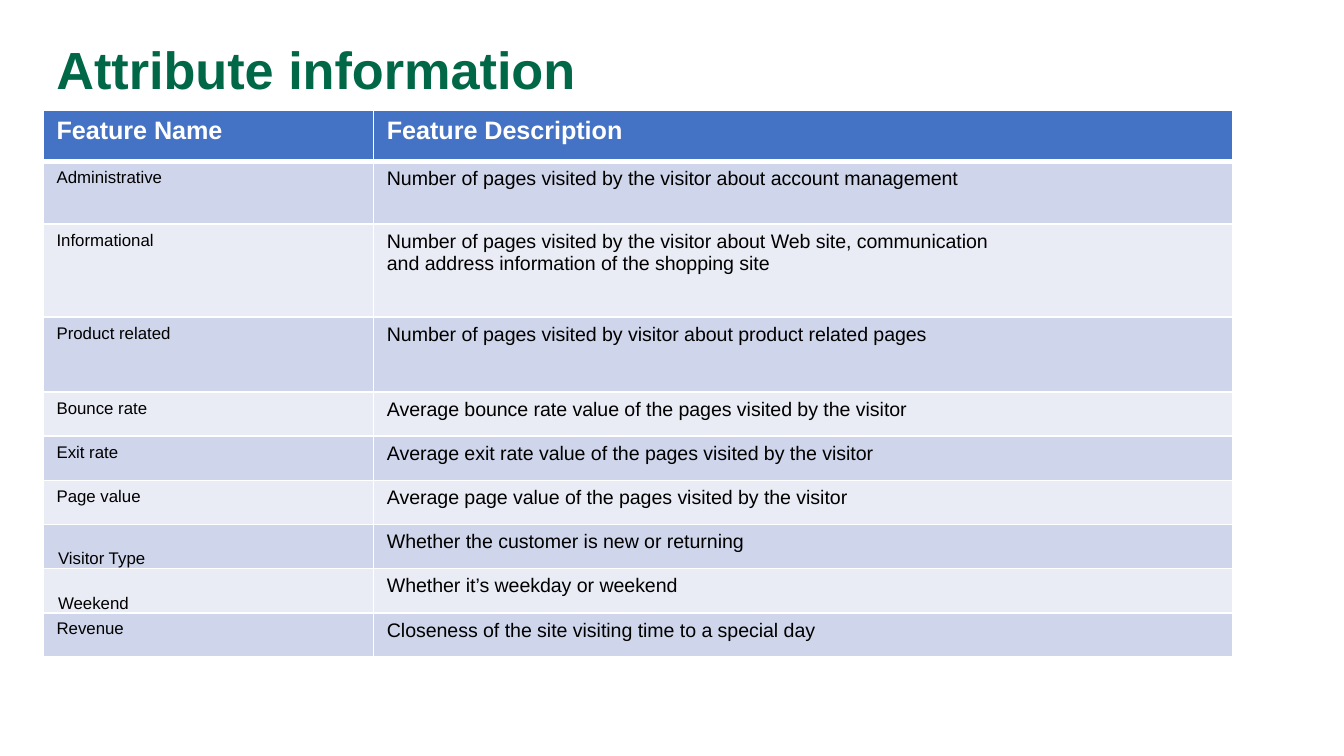
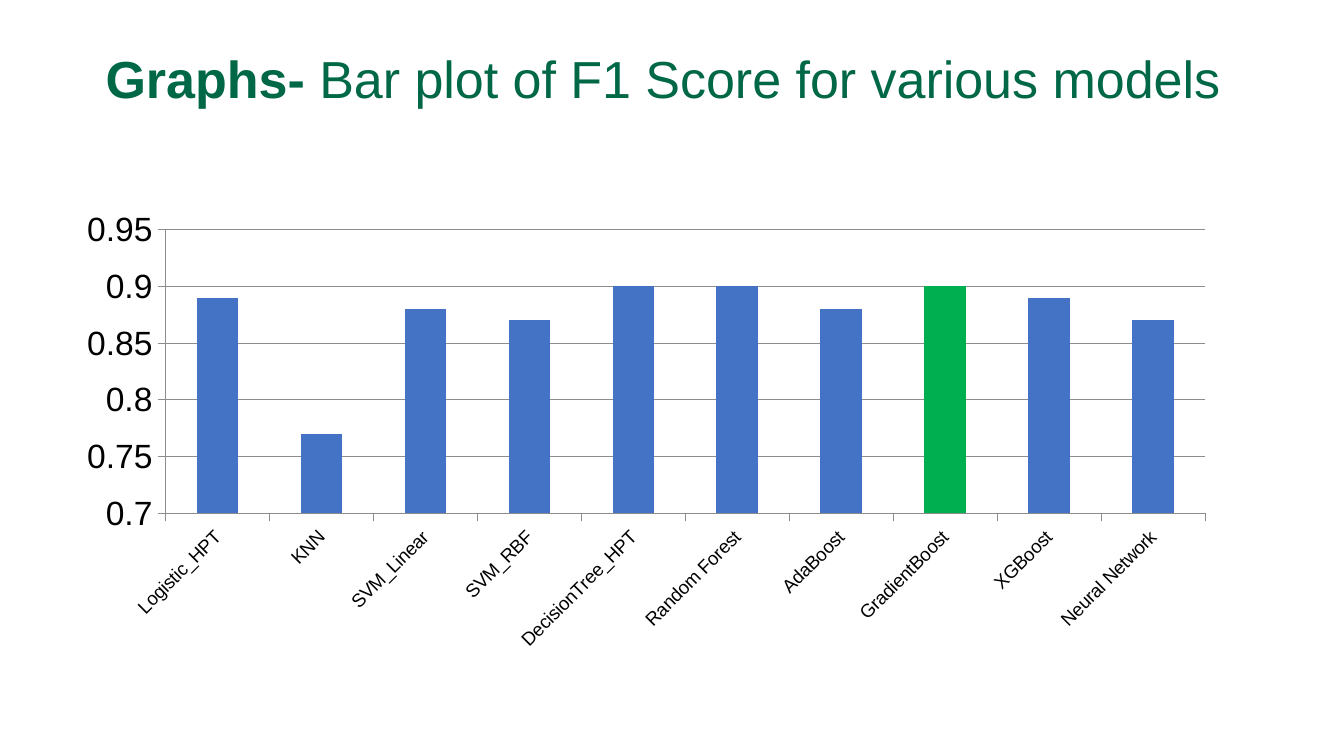
from dataclasses import dataclass
from typing import NamedTuple

from lxml.etree import SubElement
from pptx import Presentation
from pptx.chart.data import CategoryChartData
from pptx.dml.color import RGBColor
from pptx.enum.chart import XL_CHART_TYPE as ChartType, XL_TICK_MARK as TickMark
from pptx.enum.text import MSO_ANCHOR as Anchor
from pptx.oxml.ns import qn
from pptx.util import Pt


# Theme
@dataclass(frozen=True)
class Theme:
    font: str = "Arial"
    title: str = "006747"
    text: str = "000000"
    white: str = "FFFFFF"
    blue: str = "4472C4"
    green: str = "00B050"
    bands: tuple = ("CFD5EA", "E9EBF5")
    grid: str = "8C8C8C"
    title_size: float = 28
    long_title_size: float = 27.9
    header_size: float = 13.5
    name_size: float = 9
    body_size: float = 10.5
    value_size: float = 18
    category_size: float = 10


THEME = Theme()


class Box(NamedTuple):
    left: float
    top: float
    width: float
    height: float

    def points(self) -> list:
        return [Pt(v) for v in self]


class Run(NamedTuple):
    text: str
    size: float
    color: str = THEME.text
    bold: bool = False


class Feature(NamedTuple):
    name: str
    description: tuple
    height: float = 23.65
    name_at_bottom: bool = False


class Score(NamedTuple):
    model: str
    f1: float


# Content
FEATURES = [
    Feature("Administrative",
            ("Number of pages visited by the visitor about account management",), 33.8),
    Feature("Informational",
            ("Number of pages visited by the visitor about Web site, communication",
             "and address information of the shopping site"), 49.7),
    Feature("Product related",
            ("Number of pages visited by visitor about product related pages",), 40.2),
    Feature("Bounce rate", ("Average bounce rate value of the pages visited by the visitor",)),
    Feature("Exit rate", ("Average exit rate value of the pages visited by the visitor",)),
    Feature("Page value", ("Average page value of the pages visited by the visitor",)),
    Feature("Visitor Type", ("Whether the customer is new or returning",), name_at_bottom=True),
    Feature("Weekend", ("Whether it’s weekday or weekend",), name_at_bottom=True),
    Feature("Revenue", ("Closeness of the site visiting time to a special day",)),
]
HEADER_HEIGHT = 27.4
COLUMN_WIDTHS = (177, 460.6)

SCORES = [
    Score("Logistic_HPT", 0.89), Score("KNN", 0.77), Score("SVM_Linear", 0.88),
    Score("SVM_RBF", 0.87), Score("DecisionTree_HPT", 0.9), Score("Random Forest", 0.9),
    Score("AdaBoost", 0.88), Score("GradientBoost", 0.9), Score("XGBoost", 0.89),
    Score("Neural Network", 0.87),
]
HIGHLIGHT = "GradientBoost"
PLOT_AREA = {"x": 0.086, "y": 0.118, "w": 0.897, "h": 0.592}


# Text helpers
def style_font(font, size: float, color: str = THEME.text, bold: bool = False) -> None:
    font.name, font.size, font.bold = THEME.font, Pt(size), bold
    font.color.rgb = RGBColor.from_string(color)


def add_run(p, run: Run) -> None:
    r = p.add_run()
    r.text = run.text
    style_font(r.font, run.size, run.color, run.bold)


def add_title(s, box: Box, runs: list[Run], bottom_inset: float = 3.6) -> None:
    tf = s.shapes.add_textbox(*box.points()).text_frame
    tf.word_wrap = True
    tf.vertical_anchor = Anchor.MIDDLE
    tf.margin_bottom = Pt(bottom_inset)
    p = tf.paragraphs[0]
    p.line_spacing = 0.9
    for run in runs:
        add_run(p, run)


# Table helpers
def set_borders(cell, top: float = 1, bottom: float = 1) -> None:
    tc_pr = cell._tc.get_or_add_tcPr()
    for i, (side, width) in enumerate(zip("LRTB", (1, 1, top, bottom))):
        ln = SubElement(tc_pr, qn(f"a:ln{side}"), w=str(Pt(width)))
        fill = SubElement(ln, qn("a:solidFill"))
        SubElement(fill, qn("a:srgbClr"), val=THEME.white)
        tc_pr.insert(i, ln)


def fill_cell(cell, runs: list[Run], color: str, top: float = 1, bottom: float = 1) -> None:
    cell.fill.solid()
    cell.fill.fore_color.rgb = RGBColor.from_string(color)
    set_borders(cell, top, bottom)
    tf = cell.text_frame
    for i, run in enumerate(runs):
        add_run(tf.add_paragraph() if i else tf.paragraphs[0], run)


def add_feature_table(s, left: float, top: float) -> None:
    heights = [HEADER_HEIGHT] + [f.height for f in FEATURES]
    box = Box(left, top, sum(COLUMN_WIDTHS), sum(heights))
    table = s.shapes.add_table(len(heights), len(COLUMN_WIDTHS), *box.points()).table
    for column, width in zip(table.columns, COLUMN_WIDTHS):
        column.width = Pt(width)
    for row, height in zip(table.rows, heights):
        row.height = Pt(height)

    for i, heading in enumerate(("Feature Name", "Feature Description")):
        run = Run(heading, THEME.header_size, THEME.white, True)
        fill_cell(table.cell(0, i), [run], THEME.blue, bottom=3)

    for i, feature in enumerate(FEATURES):
        name, description = table.cell(i + 1, 0), table.cell(i + 1, 1)
        band, rule = THEME.bands[i % 2], 1 if i else 3
        fill_cell(name, [Run(feature.name, THEME.name_size)], band, rule)
        fill_cell(description, [Run(t, THEME.body_size) for t in feature.description],
                  band, rule)
        if feature.name_at_bottom:
            name.vertical_anchor = Anchor.BOTTOM
            name.margin_left, name.margin_top, name.margin_bottom = Pt(8), Pt(0.7), Pt(0)


# Chart helpers
def style_line(line) -> None:
    line.width = Pt(0.5)
    line.color.rgb = RGBColor.from_string(THEME.grid)


def style_axis(axis, size: float) -> None:
    axis.major_tick_mark, axis.minor_tick_mark = TickMark.OUTSIDE, TickMark.NONE
    style_line(axis.format.line)
    style_font(axis.tick_labels.font, size)


def set_plot_layout(chart) -> None:
    plot_area = chart._chartSpace.chart.plotArea
    for old in plot_area.findall(qn("c:layout")):
        plot_area.remove(old)
    layout = SubElement(plot_area, qn("c:layout"))
    plot_area.insert(0, layout)
    manual = SubElement(layout, qn("c:manualLayout"))
    settings = {"layoutTarget": "inner", "xMode": "edge", "yMode": "edge", **PLOT_AREA}
    for tag, value in settings.items():
        SubElement(manual, qn(f"c:{tag}"), val=str(value))


def add_score_chart(s, box: Box) -> None:
    data = CategoryChartData()
    data.categories = [score.model for score in SCORES]
    data.add_series("Series 1", [score.f1 for score in SCORES])
    chart = s.shapes.add_chart(ChartType.COLUMN_CLUSTERED, *box.points(), data).chart
    chart.has_legend = chart.has_title = False
    style_font(chart.font, THEME.value_size)
    set_plot_layout(chart)

    style_axis(chart.category_axis, THEME.category_size)
    chart.category_axis._element.txPr.bodyPr.set("rot", str(-45 * 60000))

    values = chart.value_axis
    style_axis(values, THEME.value_size)
    values.minimum_scale, values.maximum_scale, values.major_unit = 0.7, 0.95, 0.05
    values.tick_labels.number_format = "General"
    values.tick_labels.number_format_is_linked = False
    values.has_major_gridlines = True
    style_line(values.major_gridlines.format.line)

    plot = chart.plots[0]
    plot.gap_width, plot.vary_by_categories = 150, False
    series = plot.series[0]
    best = [score.model for score in SCORES].index(HIGHLIGHT)
    for bar, color in ((series, THEME.blue), (series.points[best], THEME.green)):
        bar.format.fill.solid()
        bar.format.fill.fore_color.rgb = RGBColor.from_string(color)


# Slides
def main() -> None:
    prs = Presentation()
    prs.slide_width, prs.slide_height = Pt(720), Pt(405)
    blank = prs.slide_layouts[6]

    # Attribute table
    s = prs.slides.add_slide(blank)
    add_title(s, Box(23.1, -0.3, 620.6, 78.3),
              [Run("Attribute information", THEME.title_size, THEME.title, True)])
    add_feature_table(s, 23.1, 59)

    # F1 score chart
    s = prs.slides.add_slide(blank)
    size = THEME.long_title_size
    add_title(s, Box(49.5, 21.6, 620.6, 78.3),
              [Run("Graphs- ", size, THEME.title, True),
               Run("Bar plot of F1 Score for various models", size, THEME.title)],
              bottom_inset=37)
    add_score_chart(s, Box(35.4, 92.7, 620.8, 257))

    prs.save("out.pptx")


if __name__ == "__main__":
    main()
